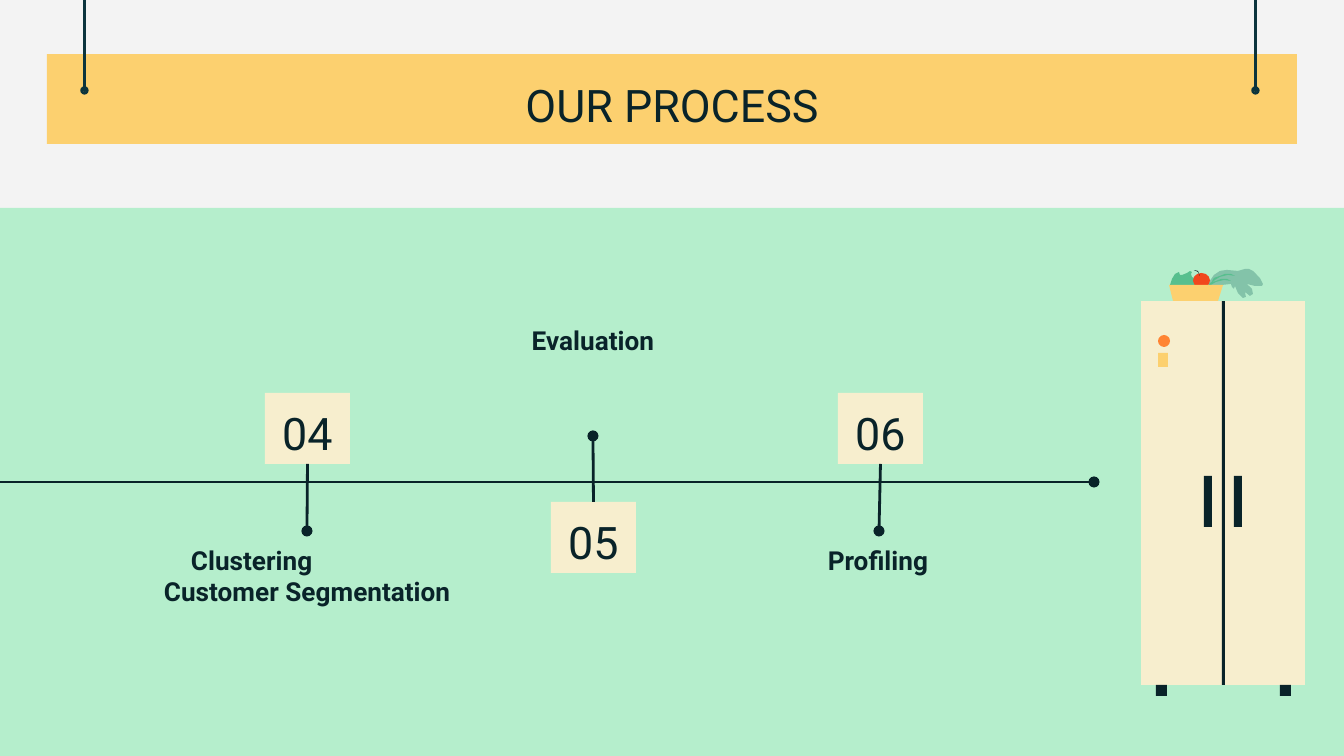
from lxml.etree import SubElement
from pptx import Presentation
from pptx.dml.color import RGBColor
from pptx.enum.shapes import MSO_CONNECTOR, MSO_SHAPE
from pptx.enum.text import MSO_ANCHOR, PP_ALIGN
from pptx.oxml.ns import qn
from pptx.util import Pt

SCALE = 914400 / 134.4
FONT = "Roboto"
INK = RGBColor(0x09, 0x23, 0x29)
TEAL = RGBColor(0x0C, 0x34, 0x3D)
GRAY = RGBColor(0xF3, 0xF3, 0xF3)
MINT = RGBColor(0xB5, 0xEE, 0xCC)
YELLOW = RGBColor(0xFC, 0xD0, 0x6F)
CREAM = RGBColor(0xF7, 0xEE, 0xCE)
SAGE = RGBColor(0x83, 0xC3, 0xA9)
GREEN = RGBColor(0x57, 0xBF, 0x8E)
RED = RGBColor(0xF1, 0x47, 0x1D)
ORANGE = RGBColor(0xFF, 0x84, 0x33)

LEAF = [(1245, 269), (1238, 271), (1227, 270), (1220, 271), (1214, 275),
        (1207, 285), (1208, 288), (1211, 289), (1222, 285), (1231, 284),
        (1232, 287), (1234, 289), (1235, 286), (1238, 293), (1243, 298),
        (1246, 297), (1245, 292), (1250, 296), (1253, 294), (1252, 289),
        (1247, 284), (1255, 286), (1262, 286), (1263, 284), (1260, 278),
        (1253, 271), (1249, 269)]
VEIN = [(1210, 285), (1214, 278), (1220, 276), (1225, 274), (1231, 274),
        (1235, 276), (1228, 275), (1220, 277), (1215, 280)]
LETTUCE = [(1190, 271), (1187, 273), (1182, 275), (1180, 275), (1179, 272),
           (1175, 274), (1172, 279), (1170, 285), (1173, 288), (1177, 290),
           (1183, 290), (1190, 289), (1196, 286), (1197, 281), (1196, 279),
           (1192, 277), (1191, 274), (1192, 272)]
STALK = [(1194, 270), (1198, 271), (1200, 276), (1198, 272)]
BOWL = [(1169, 285), (1173, 301), (1218, 301), (1223, 285)]


def px(length):
    """Turn px into EMU."""
    return round(length * SCALE)


def paint(shape, color, edge=None):
    """Give a shape a flat fill and an optional thin edge."""
    shape.shadow.inherit = False
    shape.fill.solid()
    shape.fill.fore_color.rgb = color
    if edge is None:
        shape.line.fill.background()
    else:
        shape.line.color.rgb = edge
        shape.line.width = Pt(0.75)
    return shape


def add_block(slide, bounds, color, kind=MSO_SHAPE.RECTANGLE, edge=None):
    """Add a filled preset shape."""
    shape = slide.shapes.add_shape(kind, *map(px, bounds))
    return paint(shape, color, edge)


def add_outline(slide, points, color):
    """Add a filled closed outline."""
    builder = slide.shapes.build_freeform(*points[0], scale=SCALE)
    builder.add_line_segments(points[1:], close=True)
    return paint(builder.convert_to_shape(), color)


def add_line(slide, start, end, dot):
    """Add a line with a round dot on its headEnd or tailEnd."""
    line = slide.shapes.add_connector(
        MSO_CONNECTOR.STRAIGHT, *map(px, (*start, *end)))
    line.line.color.rgb = INK
    line.line.width = Pt(1.5)
    SubElement(line.line._get_or_add_ln(), qn(f"a:{dot}"), type="oval")
    SubElement(line._element.spPr, qn("a:effectLst"))
    return line


def write(box, lines, size, bold=False, anchor=MSO_ANCHOR.TOP):
    """Write centred lines into a box and return the paragraph."""
    frame = box.text_frame
    frame.word_wrap = True
    frame.vertical_anchor = anchor
    frame.margin_left = frame.margin_right = px(13)
    frame.margin_top = frame.margin_bottom = px(13)
    para = frame.paragraphs[0]
    para.alignment = PP_ALIGN.CENTER
    for index, text in enumerate(lines):
        if index:
            para.add_line_break()
        span = para.add_run()
        span.text = text
        span.font.name = FONT
        span.font.size = Pt(size)
        span.font.bold = bold
        span.font.color.rgb = INK
    return para


def add_label(slide, bounds, lines, size=14, bold=True, anchor=MSO_ANCHOR.TOP):
    """Add a text box and return its paragraph."""
    box = slide.shapes.add_textbox(*map(px, bounds))
    return write(box, lines, size, bold, anchor)


def add_banner(slide):
    """Add the hanging title banner."""
    add_block(slide, (47, 54, 1250, 90), YELLOW)
    for left in (84, 1255):
        add_block(slide, (left, 0, 1, 91), TEAL, edge=TEAL)
        ring = add_block(slide, (left - 3, 87, 7, 7), TEAL, MSO_SHAPE.DONUT, TEAL)
        ring.adjustments[0] = 0.2
    add_label(slide, (202, 62, 940, 85), ["OUR PROCESS"], 24, False,
              MSO_ANCHOR.MIDDLE)


def add_fridge(slide):
    """Add the fridge with the food bowl on top."""
    add_outline(slide, LEAF, SAGE)
    for right, down in ((0, 0), (-4, 5)):
        add_outline(slide, [(x + right, y + down) for x, y in VEIN], GREEN)
    add_outline(slide, LETTUCE, GREEN)
    add_block(slide, (1193, 273, 17, 15), RED, MSO_SHAPE.OVAL)
    add_outline(slide, STALK, INK)
    add_outline(slide, BOWL, YELLOW)
    add_block(slide, (1141, 301, 164, 384), CREAM)
    add_block(slide, (1222, 301, 3, 384), INK)
    for left in (1204, 1234):
        add_block(slide, (left, 476, 8, 51), INK)
    for left in (1156, 1280):
        add_block(slide, (left, 685, 11, 11), INK)
    add_block(slide, (1158, 335, 12, 12), ORANGE, MSO_SHAPE.OVAL)
    add_block(slide, (1158, 353, 10, 14), YELLOW)


def add_step(slide, number, corner, dot, side, label_corner, lines):
    """Add a numbered box, its stem and its label."""
    box = add_block(slide, (*corner, 85, 71), CREAM)
    write(box, [number], 24)
    stem = add_line(slide, dot, dot, "headEnd")
    stem.end_connect(box, side)
    return add_label(slide, (*label_corner, 318, 117), lines)


def main():
    """Build the process slide."""
    deck = Presentation()
    deck.slide_width, deck.slide_height = px(1344), px(756)
    page = deck.slides.add_slide(deck.slide_layouts[6])
    page.background.fill.solid()
    page.background.fill.fore_color.rgb = GRAY
    add_block(page, (0, 208, 1344, 548), MINT)
    add_banner(page)
    add_fridge(page)
    para = add_step(page, "04", (265, 393), (307, 531), 2, (148, 531),
                    ["Clustering", "Customer Segmentation"])
    para.alignment = PP_ALIGN.LEFT
    properties = para._p.get_or_add_pPr()
    properties.set("marL", str(px(3)))
    properties.set("indent", str(px(27)))
    add_step(page, "05", (551, 502), (593, 436), 0, (434, 311), ["Evaluation"])
    add_step(page, "06", (838, 393), (879, 531), 2, (719, 531), ["Profiling"])
    add_line(page, (0, 482), (1094, 482), "tailEnd")
    deck.save("out.pptx")


if __name__ == "__main__":
    main()
